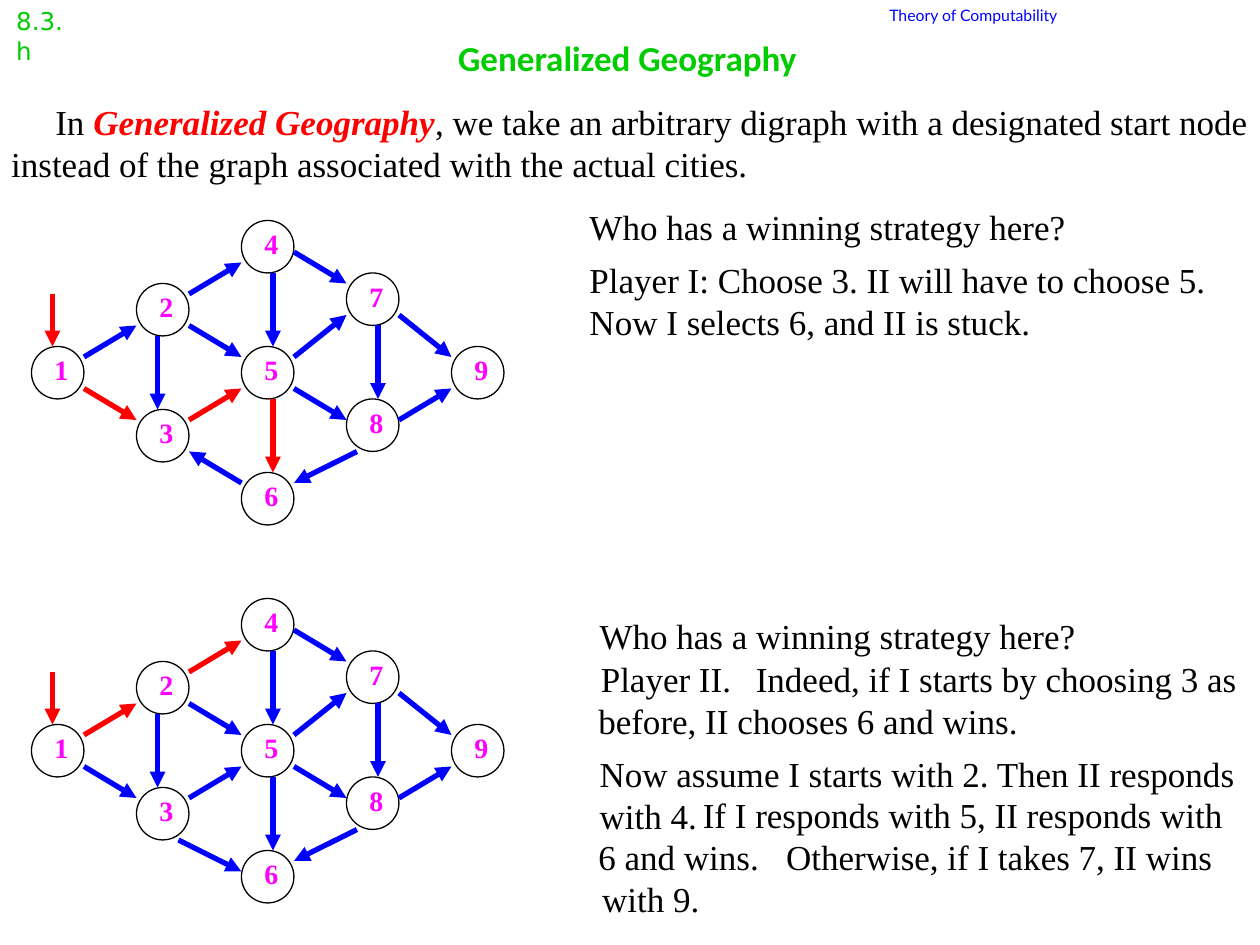
from lxml import etree
from pptx import Presentation
from pptx.dml.color import RGBColor
from pptx.enum.shapes import MSO_CONNECTOR, MSO_SHAPE
from pptx.enum.text import MSO_ANCHOR, PP_ALIGN
from pptx.oxml.ns import qn
from pptx.util import Inches, Pt

OVAL, STRAIGHT = MSO_SHAPE.OVAL, MSO_CONNECTOR.STRAIGHT
CENTER, MIDDLE, TOP = PP_ALIGN.CENTER, MSO_ANCHOR.MIDDLE, MSO_ANCHOR.TOP
BLACK, RED, BLUE, GREEN, MAGENTA = "000000", "FF0000", "0000FF", "00CC00", "FF00FF"

prs = Presentation()
prs.slide_width, prs.slide_height = Inches(10), Inches(7.5)
slide = prs.slides.add_slide(prs.slide_layouts[6])
cell = prs.slide_width / 120  # the slide is a grid of 120 columns by 90 rows


def color(hex_code):
    return RGBColor.from_string(hex_code)


def write(frame, paragraphs, look, align=None, indent=0):
    """Each paragraph is a list of (text, overrides); indent applies to the first line."""
    for index, pieces in enumerate(paragraphs):
        paragraph = frame.paragraphs[0] if index == 0 else frame.add_paragraph()
        paragraph.alignment = align
        if index == 0 and indent:
            paragraph._p.get_or_add_pPr().set("indent", str(Inches(indent)))
        for text, overrides in pieces:
            run = paragraph.add_run()
            run.text = text
            values = {**look, **overrides}
            run.font.color.rgb = color(values.pop("color"))
            for attribute, value in values.items():
                setattr(run.font, attribute, value)


body = {"name": "Times New Roman", "size": Pt(20), "color": BLACK}
heading = {"name": "Calibri", "size": Pt(20), "color": GREEN, "bold": True}
section = {"name": "DejaVu Sans", "size": Pt(14), "color": GREEN}
course = {"name": "Lato", "size": Pt(9), "color": BLUE}
node_look = {"name": "Times New Roman", "size": Pt(16), "color": MAGENTA, "bold": True}
term = {"color": RED, "bold": True, "italic": True}

# left, top, width, height, first-line indent, look, paragraphs
texts = [
    (0.73, 0, 8.5, 0.92, 0, heading, [[("Generalized Geography", {})]]),
    (0.03, 0, 0.55, 0.55, 0, section, [[("8.3.h", {})]]),
    (6.96, 0, 1.65, 0.25, 0, course, [[("Theory of Computability", {})]]),
    (-0.01, 0.75, 10.01, 0.77, 0.35, body, [
        [("In ", {}), ("Generalized Geography", term),
         (", we take an arbitrary digraph with a designated start node", {})],
        [("instead of the graph associated with the actual cities.", {})]]),
    (4.58, 1.58, 3.98, 0.44, 0, body, [[("Who has a winning strategy here?", {})]]),
    (4.58, 2, 5.09, 0.77, 0, body, [
        [("Player I: Choose 3. II will have to choose 5.", {})],
        [("Now I selects 6, and II is stuck.", {})]]),
    (4.66, 4.83, 3.98, 0.44, 0, body, [[("Who has a winning strategy here?", {})]]),
    (4.67, 5.17, 1.3, 0.44, 0, body, [[("Player II.", {})]]),
    (4.65, 5.17, 5.27, 0.77, 1.25, body, [
        [("Indeed, if I starts by choosing 3 as", {})],
        [("before, II chooses 6 and wins.", {})]]),
    (4.66, 5.92, 5.25, 0.77, 0, body, [
        [("Now assume I starts with 2. Then II responds", {})],
        [("with 4.", {})]]),
    (4.65, 6.25, 5.16, 0.77, 0.83, body, [
        [("If I responds with 5, II responds with", {})],
        [("6 and wins.", {})]]),
    (4.68, 6.58, 5.11, 0.77, 1.46, body, [
        [("Otherwise, if I takes 7, II wins", {})],
        [("with 9.", {})]]),
]
for left, top, width, height, indent, look, paragraphs in texts:
    box = slide.shapes.add_textbox(*map(Inches, (left, top, width, height)))
    frame = box.text_frame
    frame.word_wrap = True
    is_title = look is heading
    frame.margin_right = Inches(0.1 if is_title else 0)
    frame.vertical_anchor = MIDDLE if is_title else TOP
    write(frame, paragraphs, look, CENTER if is_title else None, indent)

# Node corners and edge ends, in columns and rows of the upper graph
node_span = 5
nodes = {1: (3, 33), 2: (13, 27), 3: (13, 39), 4: (23, 21), 5: (23, 33),
         6: (23, 45), 7: (33, 26), 8: (33, 38), 9: (43, 33)}
shared_edges = {
    "start": (5, 28, 5, 33), "1-2": (8, 34, 13, 31), "1-3": (8, 37, 13, 40),
    "2-3": (15, 32, 15, 39), "2-4": (18, 28, 23, 25), "2-5": (18, 31, 23, 34),
    "3-5": (18, 40, 23, 37), "4-5": (26, 26, 26, 33), "4-7": (28, 24, 33, 27),
    "5-6": (26, 38, 26, 45), "5-7": (28, 34, 33, 30), "5-8": (28, 37, 33, 40),
    "7-8": (36, 31, 36, 38), "7-9": (38, 30, 43, 34), "8-9": (38, 40, 43, 37),
    "8-6": (34, 43, 28, 46),
}
# row offset, the edge that differs, the edges played
games = [
    (0, {"6-3": (23, 46, 18, 43)}, {"start", "1-3", "3-5", "5-6"}),
    (36, {"3-6": (17, 44, 23, 47)}, {"start", "1-2", "2-4"}),
]
for row_offset, own_edge, played in games:
    for number, (column, row) in nodes.items():
        node = slide.shapes.add_shape(
            OVAL, int(column * cell), int((row + row_offset) * cell),
            int(node_span * cell), int(node_span * cell))
        node.shadow.inherit = False
        node.fill.background()
        node.line.color.rgb = color(BLACK)
        node.line.width = Pt(0.75)
        frame = node.text_frame
        frame.word_wrap = False
        frame.vertical_anchor = MIDDLE
        margins = {"margin_left": 0.06, "margin_top": 0, "margin_right": 0, "margin_bottom": 0.05}
        for side, inset in margins.items():
            setattr(frame, side, Inches(inset))
        write(frame, [[(str(number), {})]], node_look, CENTER)

    for edge, (x1, y1, x2, y2) in {**shared_edges, **own_edge}.items():
        ends = (x1, y1 + row_offset, x2, y2 + row_offset)
        arrow = slide.shapes.add_connector(STRAIGHT, *(int(end * cell) for end in ends))
        arrow.line.color.rgb = color(RED if edge in played else BLUE)
        arrow.line.width = Pt(3)
        etree.SubElement(arrow.line._get_or_add_ln(), qn("a:tailEnd"), type="triangle")
        etree.SubElement(arrow._element.spPr, qn("a:effectLst"))

prs.save("out.pptx")
